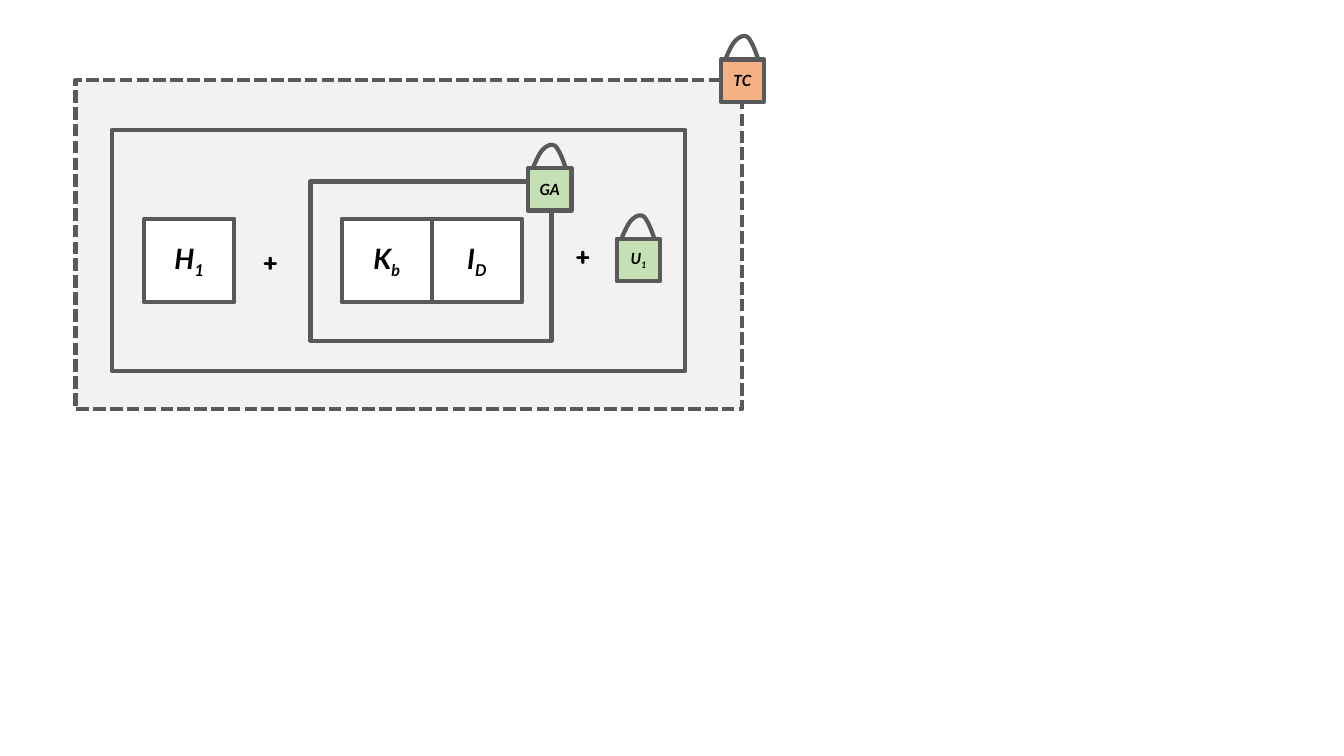
from dataclasses import dataclass

from pptx import Presentation
from pptx.dml.color import RGBColor as Rgb
from pptx.enum.dml import MSO_LINE as Dash
from pptx.enum.shapes import MSO_SHAPE as Kind
from pptx.enum.text import MSO_ANCHOR as Anchor, MSO_AUTO_SIZE as Fit, PP_ALIGN as Align
from pptx.util import Pt

HUES = {"line": "595959", "panel": "F2F2F2", "cell": "FFFFFF",
        "green": "C5E0B4", "orange": "F4B183", "text": "000000"}
BOLD = {"name": "Lato", "bold": True, "italic": True}
PLUS = {"name": "Quicksand", "bold": True, "size": Pt(18)}
FRAME = {"word_wrap": True, "vertical_anchor": Anchor.MIDDLE, "margin_left": 0,
         "margin_right": 0, "margin_top": 0, "margin_bottom": 0}
LABEL = {"word_wrap": True, "auto_size": Fit.SHAPE_TO_FIT_TEXT}

CELL_W, CELL_H, CELL_TOP = 64.4, 59.8, 156.2
LOCK_W, LOCK_H = 31, 30.2
STEPS = 12
ARCH = [(3.6, -0.7),
        (5.8, -5.8), (7.9, -10.8), (10.8, -13.7),
        (13, -15.8), (16.6, -18), (19.4, -15.8),
        (21.6, -13.7), (24.5, -7.2), (26.6, -0.7)]


@dataclass
class Box:
    left: float
    top: float
    width: float
    height: float
    hue: str
    text: str = ""
    sub: str = ""
    size: float = 20
    dash: bool = False


@dataclass
class Lock:
    left: float
    top: float
    hue: str
    text: str
    sub: str = ""


def apply(thing, props: dict) -> None:
    for name, value in props.items():
        setattr(thing, name, value)


def color(name: str) -> Rgb:
    return Rgb.from_string(HUES[name])


def outline(shape) -> None:
    shape.shadow.inherit = False
    shape.line.color.rgb = color("line")
    shape.line.width = Pt(3)


def add_run(para, text: str, font: dict):
    run = para.add_run()
    run.text = text
    apply(run.font, font)
    run.font.color.rgb = color("text")
    return run


def draw_box(shapes, box: Box) -> None:
    area = map(Pt, (box.left, box.top, box.width, box.height))
    shape = shapes.add_shape(Kind.RECTANGLE, *area)
    outline(shape)
    shape.fill.solid()
    shape.fill.fore_color.rgb = color(box.hue)
    if box.dash:
        shape.line.dash_style = Dash.SQUARE_DOT
    if box.text:
        apply(shape.text_frame, FRAME)
        para = shape.text_frame.paragraphs[0]
        para.alignment = Align.CENTER
        font = BOLD | {"size": Pt(box.size)}
        add_run(para, box.text, font)
        if box.sub:
            run = add_run(para, box.sub, font)
            run._r.get_or_add_rPr().set("baseline", "-25000")


def curve(knots: list) -> list:
    points = [knots[0]]
    for i in range(0, len(knots) - 1, 3):
        a, b, c, d = knots[i:i + 4]
        for step in range(1, STEPS + 1):
            t = step / STEPS
            u = 1 - t
            points.append(tuple(
                u**3 * p + 3 * u * u * t * q + 3 * u * t * t * r + t**3 * s
                for p, q, r, s in zip(a, b, c, d)))
    return points


def draw_lock(shapes, lock: Lock) -> None:
    group = shapes.add_group_shape().shapes
    draw_box(group, Box(lock.left, lock.top, LOCK_W, LOCK_H,
                        lock.hue, lock.text, lock.sub, 11))
    points = [(Pt(lock.left + x), Pt(lock.top + y)) for x, y in curve(ARCH)]
    path = group.build_freeform(*points[0])
    path.add_line_segments(points[1:], close=False)
    arch = path.convert_to_shape()
    outline(arch)
    arch.fill.background()


def draw_plus(shapes, left: float, top: float) -> None:
    frame = shapes.add_textbox(Pt(left), Pt(top), Pt(31), Pt(28.8)).text_frame
    apply(frame, LABEL)
    add_run(frame.paragraphs[0], "+", PLUS)


deck = Presentation()
apply(deck, {"slide_width": Pt(960), "slide_height": Pt(540)})
shapes = deck.slides.add_slide(deck.slide_layouts[6]).shapes

panels = [Box(54, 56.9, 475.9, 235.4, "panel", dash=True),
          Box(79.9, 92.9, 409.7, 172.1, "panel"),
          Box(221.8, 129.6, 172.1, 113.8, "panel")]
cells = [Box(left, CELL_TOP, CELL_W, CELL_H, "cell", text, sub)
         for left, text, sub in [(103, "H", "1"), (244.1, "K", "b"),
                                 (244.1 + CELL_W, "I", "D")]]
locks = [Lock(377.3, 120.2, "green", "GA"),
         Lock(440.6, 170.6, "green", "U", "1"),
         Lock(514.8, 42.5, "orange", "TC")]

for box in panels + cells:
    draw_box(shapes, box)
for lock in locks:
    draw_lock(shapes, lock)
for left, top in [(180.7, 172.1), (403.9, 167.8)]:
    draw_plus(shapes, left, top)

deck.save("out.pptx")
